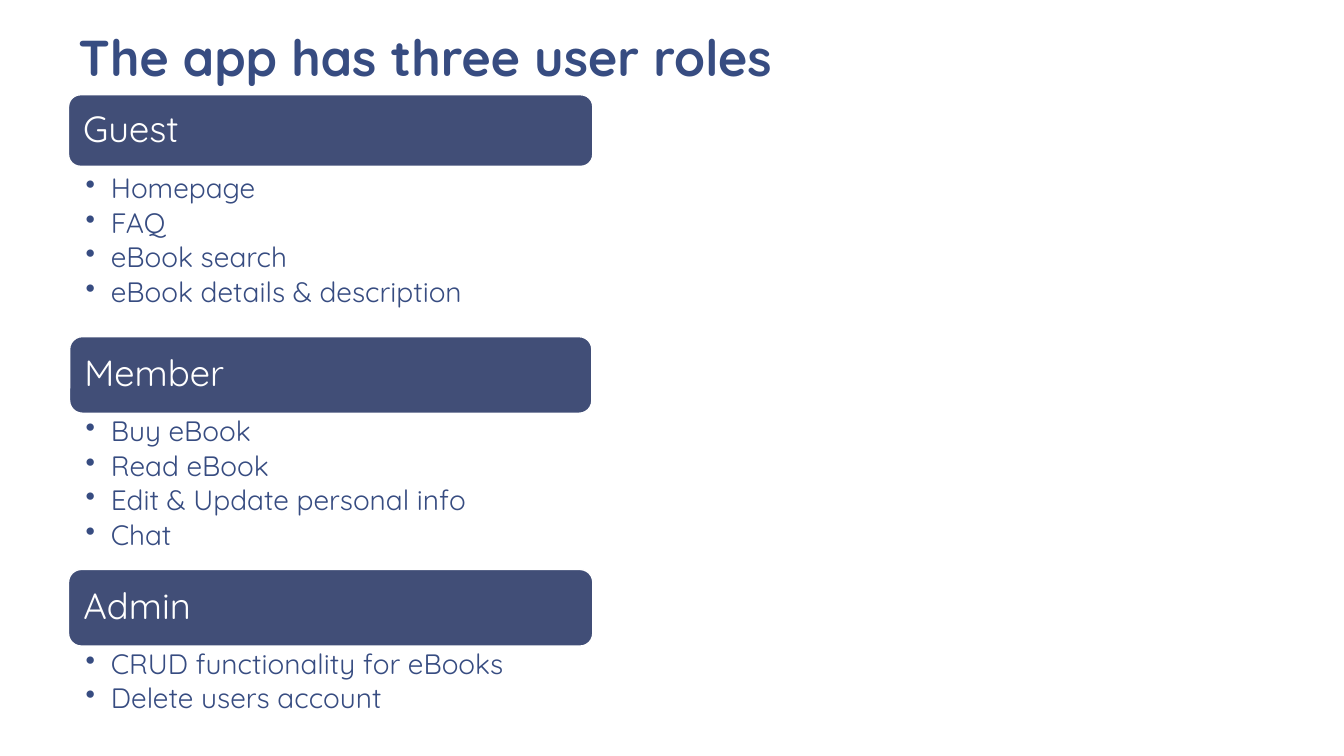
from lxml.etree import SubElement
from pptx import Presentation
from pptx.dml.color import RGBColor
from pptx.enum.shapes import MSO_SHAPE as Shape
from pptx.enum.text import MSO_ANCHOR as Anchor, PP_ALIGN as Align
from pptx.oxml.ns import qn
from pptx.util import Inches, Pt

# Content: role, bar left, top, width, height, list height, abilities
TITLE = "The app has three user roles"
ROLES = [
    ("Guest", 0.68, 0.94, 5.2, 0.71, 1.65,
     ["Homepage", "FAQ", "eBook search", "eBook details & description"]),
    ("Member", 0.69, 3.34, 5.18, 0.76, 1.55,
     ["Buy eBook", "Read eBook", "Edit & Update personal info", "Chat"]),
    ("Admin", 0.68, 5.65, 5.2, 0.76, 0.86,
     ["CRUD functionality for eBooks", "Delete users account"]),
]
COLORS = {"bar": "414E77", "ink": "374C81", "white": "FFFFFF"}
FONT = "Quicksand"
LEFT, LIST_WIDTH, INDENT = 0.68, 5.2, 0.25


def color(name):
    return RGBColor.from_string(COLORS[name])


def write(box, lines, size, ink="ink", bold=False, bullet=False, spacing=None,
          after=0, insets=(0.1, 0.05, 0.1, 0.05), anchor=Anchor.TOP):
    frame = box.text_frame
    frame.word_wrap = True
    frame.vertical_anchor = anchor
    (frame.margin_left, frame.margin_top,
     frame.margin_right, frame.margin_bottom) = map(Inches, insets)
    for index, text in enumerate(lines):
        para = frame.add_paragraph() if index else frame.paragraphs[0]
        para.alignment = Align.LEFT
        para.line_spacing = spacing
        para.space_after = Pt(after)
        if bullet:
            props = para._p.get_or_add_pPr()
            props.set("marL", str(Inches(INDENT)))
            props.set("indent", str(-Inches(INDENT)))
            SubElement(props, qn("a:buChar"), char="•")
        span = para.add_run()
        span.text = text
        span.font.name = FONT
        span.font.size = Pt(size)
        span.font.bold = bold
        span.font.color.rgb = color(ink)


deck = Presentation()
deck.slide_width, deck.slide_height = Inches(13.33), Inches(7.5)
page = deck.slides.add_slide(deck.slide_layouts[6])

# Role bars, each with its list directly below
for role, left, top, width, height, list_height, abilities in ROLES:
    bar = page.shapes.add_shape(Shape.ROUNDED_RECTANGLE, *map(Inches, (left, top, width, height)))
    bar.shadow.inherit = False
    bar.fill.solid()
    bar.fill.fore_color.rgb = color("bar")
    bar.line.color.rgb = color("white")
    bar.line.width = Pt(1)
    write(bar, [role], 26, ink="white", spacing=0.9, insets=(0.11,) * 4, anchor=Anchor.MIDDLE)

    list_top = 1.69 if role == "Guest" else top + height
    box = page.shapes.add_textbox(*map(Inches, (LEFT, list_top, LIST_WIDTH, list_height)))
    write(box, abilities, 20, bullet=True, spacing=0.9, after=3.1, insets=(0.17, 0.04, 0.2, 0.04))

# Title
title = page.shapes.add_textbox(*map(Inches, (LEFT, 0.21, 8.35, 0.71)))
write(title, [TITLE], 36, bold=True)

deck.save("out.pptx")
